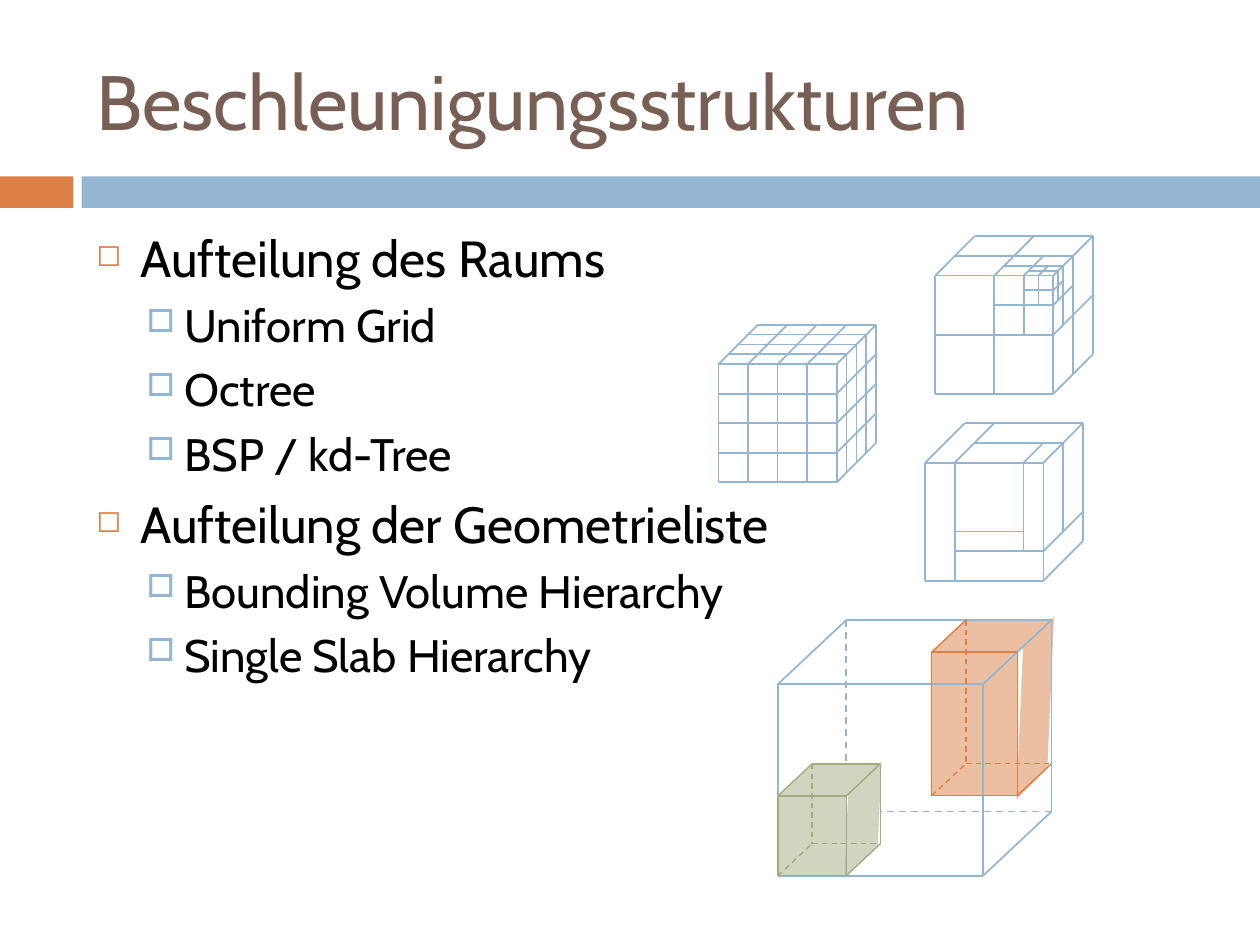
from dataclasses import dataclass

from lxml import etree
from pptx import Presentation
from pptx.dml.color import RGBColor
from pptx.enum.dml import MSO_LINE
from pptx.enum.shapes import MSO_CONNECTOR, MSO_SHAPE
from pptx.enum.text import MSO_ANCHOR
from pptx.oxml.ns import qn
from pptx.util import Pt

STRAIGHT = MSO_CONNECTOR.STRAIGHT
RECTANGLE = MSO_SHAPE.RECTANGLE
PARALLELOGRAM = MSO_SHAPE.PARALLELOGRAM
MIDDLE, TOP = MSO_ANCHOR.MIDDLE, MSO_ANCHOR.TOP
DASH = MSO_LINE.DASH

BLUE = RGBColor(0x94, 0xB6, 0xD2)
ORANGE = RGBColor(0xDD, 0x80, 0x47)
GREEN = RGBColor(0xA5, 0xAB, 0x81)
BROWN = RGBColor(0x77, 0x5F, 0x55)
BLACK = RGBColor(0, 0, 0)

# Edges of a unit box as (right, down, back) corners.
FRONT_EDGES = [((0, 0, 0), (1, 0, 0)), ((0, 0, 0), (0, 1, 0)),
               ((0, 1, 0), (1, 1, 0)), ((1, 0, 0), (1, 1, 0))]
LEFT_TOP_EDGE = ((0, 0, 0), (0, 0, 1))
RIGHT_BOTTOM_EDGE = ((1, 1, 0), (1, 1, 1))
OUTER_EDGES = [((0, 0, 1), (1, 0, 1)), ((1, 0, 1), (1, 1, 1)), ((1, 0, 0), (1, 0, 1))]
INNER_EDGES = FRONT_EDGES + [LEFT_TOP_EDGE, RIGHT_BOTTOM_EDGE]
VISIBLE_EDGES = INNER_EDGES + OUTER_EDGES
HIDDEN_EDGES = [((0, 1, 0), (0, 1, 1)), ((0, 0, 1), (0, 1, 1)), ((0, 1, 1), (1, 1, 1))]

OUTLINE = [
    (0, "Aufteilung des Raums"),
    (1, "Uniform Grid"),
    (1, "Octree"),
    (1, "BSP / kd-Tree"),
    (0, "Aufteilung der Geometrieliste"),
    (1, "Bounding Volume Hierarchy"),
    (1, "Single Slab Hierarchy"),
]


@dataclass
class Level:
    size: float
    space: float
    margin: float
    indent: float
    bullet: str
    bullet_color: RGBColor
    bullet_percent: int


LEVELS = [Level(29, 7, 25.2, -25.2, "◻", ORANGE, 60),
          Level(26, 5.5, 50.4, -21.6, "□", BLUE, 70)]


@dataclass
class Projection:
    """Oblique view of a box divided into cells; front top left corner at left, top."""
    left: float
    top: float
    cell: tuple
    back: tuple

    def point(self, corner):
        right, down, depth = corner
        return (self.left + right * self.cell[0] + depth * self.back[0],
                self.top + down * self.cell[1] - depth * self.back[1])


class SlidePainter:
    font = "Cabin"

    def __init__(self, slide):
        self.slide = slide
        self.shapes = slide.shapes

    def start_group(self):
        self.shapes = self.slide.shapes.add_group_shape().shapes

    def text_box(self, left, top, width, height, anchor):
        frame = self.slide.shapes.add_textbox(
            Pt(left), Pt(top), Pt(width), Pt(height)).text_frame
        frame.word_wrap = True
        frame.vertical_anchor = anchor
        return frame

    def set_text(self, paragraph, text, size, color):
        paragraph.text = text
        paragraph.font.name = self.font
        paragraph.font.size = Pt(size)
        paragraph.font.color.rgb = color

    def outline(self, frame, items):
        for index, (depth, text) in enumerate(items):
            level = LEVELS[depth]
            paragraph = frame.add_paragraph() if index else frame.paragraphs[0]
            paragraph.level = depth
            if index:
                paragraph.space_before = Pt(level.space)
            properties = paragraph._p.get_or_add_pPr()
            properties.set("marL", str(Pt(level.margin)))
            properties.set("indent", str(Pt(level.indent)))
            color = etree.SubElement(properties, qn("a:buClr"))
            etree.SubElement(color, qn("a:srgbClr"), val=str(level.bullet_color))
            etree.SubElement(properties, qn("a:buSzPct"), val=str(level.bullet_percent * 1000))
            etree.SubElement(properties, qn("a:buChar"), char=level.bullet)
            self.set_text(paragraph, text, level.size, BLACK)

    def area(self, kind, left, top, width, height, color, opacity=100, slant=None, rotation=0):
        shape = self.shapes.add_shape(kind, Pt(left), Pt(top), Pt(width), Pt(height))
        shape.shadow.inherit = False
        shape.line.fill.background()
        shape.fill.solid()
        shape.fill.fore_color.rgb = color
        shape.rotation = rotation
        if slant:
            shape.adjustments[0] = slant
        if opacity < 100:
            fill_color = shape._element.spPr.find(qn("a:solidFill")).find(qn("a:srgbClr"))
            etree.SubElement(fill_color, qn("a:alpha"), val=str(opacity * 1000))

    def line(self, start, end, color, width=1, dash=None):
        connector = self.shapes.add_connector(STRAIGHT, *map(Pt, start + end))
        connector.line.color.rgb = color
        connector.line.width = Pt(width)
        if dash:
            connector.line.dash_style = dash
        etree.SubElement(connector._element.spPr, qn("a:effectLst"))

    def edges(self, projection, edges, color=BLUE, width=1, dash=None):
        for start, end in edges:
            self.line(projection.point(start), projection.point(end), color, width, dash)

    def cube(self, left, top, divisions):
        """Draw a cube of four cells a side, with its dividing lines."""
        self.start_group()
        projection = Projection(left, top, (16.88, 16.88), (5.63, 5.63))
        self.edges(projection, span(VISIBLE_EDGES, (0, 0, 0), (4, 4, 4)))
        self.edges(projection, divisions)


def span(edges, low, high):
    """Stretch unit box edges to the box between two corners."""
    return [tuple(tuple(a + (b - a) * unit for a, b, unit in zip(low, high, corner))
                  for corner in edge) for edge in edges]


def uniform_divisions():
    for i in range(1, 4):
        yield from [((0, i, 0), (4, i, 0)), ((i, 0, 0), (i, 4, 0)),
                    ((0, 0, i), (4, 0, i)), ((4, 0, i), (4, 4, i)),
                    ((i, 0, 0), (i, 0, 4)), ((4, i, 0), (4, i, 4))]


def octree_divisions():
    """Halve the corner cell three times."""
    for side in (4, 2, 1):
        low, half = 4 - side, side / 2
        middle = 4 - half
        yield from [((low, half, 0), (4, half, 0)), ((middle, 0, 0), (middle, side, 0)),
                    ((low, 0, half), (4, 0, half)), ((4, 0, half), (4, side, half)),
                    ((middle, 0, 0), (middle, 0, side)), ((4, half, 0), (4, half, side))]


KD_DIVISIONS = [
    ((1, 0, 0), (1, 4, 0)), ((1, 0, 0), (1, 0, 4)),
    ((1, 3, 0), (4, 3, 0)), ((4, 3, 0), (4, 3, 4)),
    ((1, 0, 2), (4, 0, 2)), ((4, 0, 2), (4, 3, 2)),
    ((3.33, 0, 0), (3.33, 3, 0)), ((3.33, 0, 0), (3.33, 0, 2)),
    ((1, 2.33, 0), (3.33, 2.33, 0)),
]


def draw_bounding_volumes(painter):
    painter.start_group()
    painter.area(RECTANGLE, 444.4, 455, 39, 45.5, GREEN, 50)
    painter.area(PARALLELOGRAM, 444.4, 436.6, 58.5, 18.3, GREEN, 50, 1.05)
    painter.area(PARALLELOGRAM, 462.2, 452.2, 61.9, 32.4, GREEN, 50, 1.08, 135.3)
    painter.area(RECTANGLE, 532.2, 372.8, 49, 82.1, ORANGE, 50)
    painter.area(PARALLELOGRAM, 547.2, 375.1, 88.6, 59, ORANGE, 50, 1.08, 135.3)
    painter.area(PARALLELOGRAM, 532.2, 354.4, 68.4, 18.3, ORANGE, 50, 1.05)

    projection = Projection(444.5, 391, (9.77, 9.12), (3.26, 3.06))
    painter.edges(projection, span(VISIBLE_EDGES, (0, 0, 0), (12, 12, 12)))
    painter.edges(projection, [((0, 0, 12), (0, 9, 12)), ((12, 12, 12), (2, 12, 12))], dash=DASH)
    for color, low, high, visible in [(GREEN, (0, 7, 0), (4, 12, 6), VISIBLE_EDGES),
                                      (ORANGE, (7, 0, 6), (12, 9, 12), INNER_EDGES)]:
        painter.edges(projection, span(visible, low, high), color, 0.79)
        painter.edges(projection, span(HIDDEN_EDGES, low, high), color, 0.79, DASH)


def main():
    presentation = Presentation()
    presentation.slide_width, presentation.slide_height = Pt(720), Pt(540)
    painter = SlidePainter(presentation.slides.add_slide(presentation.slide_layouts[6]))

    painter.area(RECTANGLE, 0, 100.8, 42, 18, ORANGE)
    painter.area(RECTANGLE, 46.6, 100.8, 673.4, 18, BLUE)
    title = painter.text_box(48, 18, 642, 78, MIDDLE)
    painter.set_text(title.paragraphs[0], "Beschleunigungsstrukturen", 44, BROWN)
    painter.outline(painter.text_box(48, 126, 642, 354, TOP), OUTLINE)

    painter.cube(410.6, 208.1, uniform_divisions())
    painter.cube(534.4, 157.5, octree_divisions())
    painter.cube(528.7, 264.4, KD_DIVISIONS)
    draw_bounding_volumes(painter)
    presentation.save("out.pptx")


if __name__ == "__main__":
    main()
